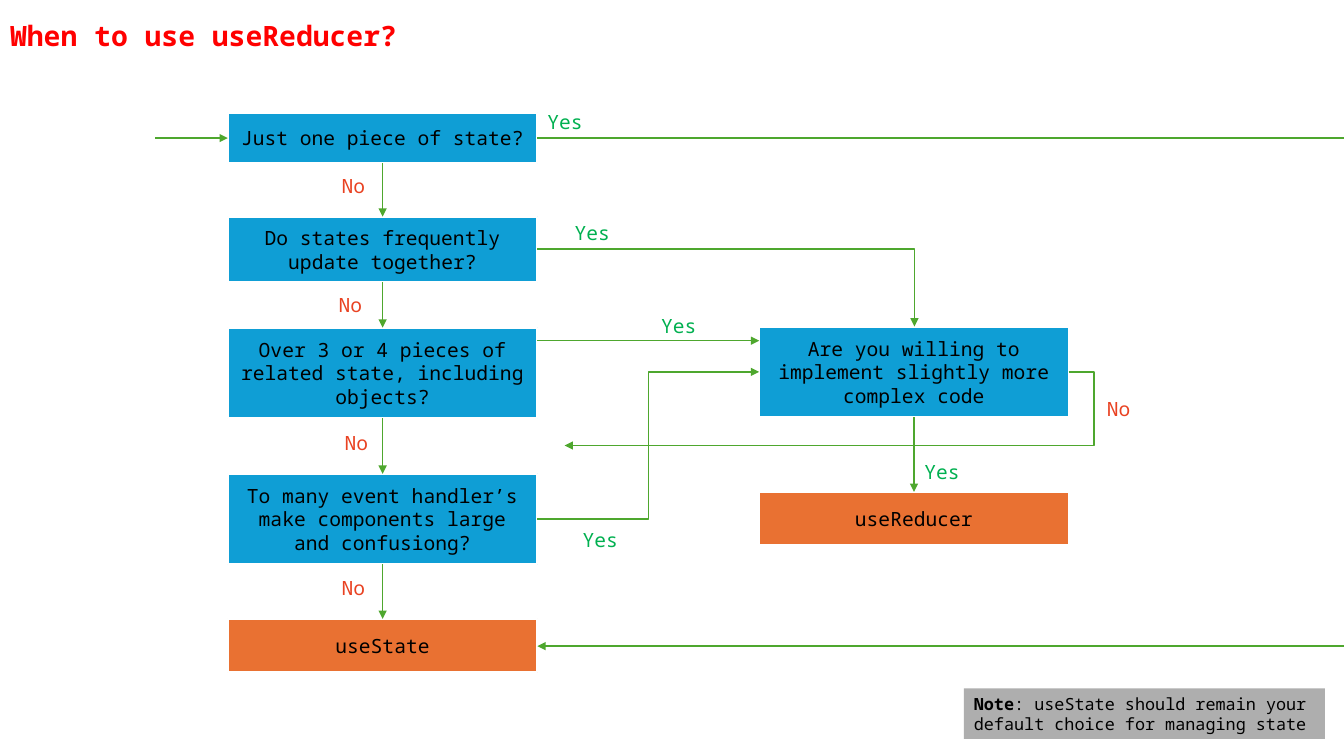
from dataclasses import dataclass

from lxml.etree import SubElement
from pptx import Presentation
from pptx.dml.color import RGBColor
from pptx.enum.shapes import MSO_CONNECTOR, MSO_SHAPE
from pptx.enum.text import MSO_ANCHOR, MSO_AUTO_SIZE, PP_ALIGN
from pptx.oxml.ns import qn
from pptx.util import Inches, Pt


@dataclass(frozen=True)
class Theme:
    font: str = "Noto Sans Mono"
    title_size: int = 20
    body_size: int = 14
    note_size: int = 12
    title: str = "FF0000"
    text: str = "000000"
    question: str = "0F9ED5"
    answer: str = "E97132"
    border: str = "FFFFFF"
    arrow: str = "4EA72E"
    yes: str = "00B050"
    no: str = "E94222"
    note: str = "AEAEAE"


def apply(target, values):
    for name, value in values.items():
        setattr(target, name, value)


class FlowPage:
    def __init__(self, deck, theme):
        self.theme = theme
        self.page = deck.slides.add_slide(deck.slide_layouts[5])

    def fill_text(self, box, spans, size, color, align=PP_ALIGN.LEFT, **frame_format):
        frame = box.text_frame
        apply(frame, {"word_wrap": True, "vertical_anchor": MSO_ANCHOR.MIDDLE, **frame_format})
        para = frame.paragraphs[0]
        para.alignment = align
        for text, bold in spans:
            span = para.add_run()
            span.text = text
            apply(span.font, {"name": self.theme.font, "size": Pt(size), "bold": bold})
            span.font.color.rgb = RGBColor.from_string(color)
        return para

    def title(self, text, left, top, width, height):
        box = self.page.shapes.title
        apply(box, {"left": Inches(left), "top": Inches(top),
                    "width": Inches(width), "height": Inches(height)})
        para = self.fill_text(box, [(text, True)], self.theme.title_size, self.theme.title,
                              auto_size=MSO_AUTO_SIZE.NONE)
        para.line_spacing = 0.9

    def rectangle(self, left, top, width, height, fill):
        box = self.page.shapes.add_shape(
            MSO_SHAPE.RECTANGLE, Inches(left), Inches(top), Inches(width), Inches(height))
        box.shadow.inherit = False
        box.fill.solid()
        box.fill.fore_color.rgb = RGBColor.from_string(fill)
        return box

    def step(self, text, left, top, height, fill):
        box = self.rectangle(left, top, 3.07, height, fill)
        box.line.color.rgb = RGBColor.from_string(self.theme.border)
        box.line.width = Pt(1.5)
        self.fill_text(box, [(text, False)], self.theme.body_size, self.theme.text,
                       PP_ALIGN.CENTER)
        return box

    def note(self, spans, left, top, width, height):
        box = self.rectangle(left, top, width, height, self.theme.note)
        box.line.fill.background()
        self.fill_text(box, spans, self.theme.note_size, self.theme.text,
                       auto_size=MSO_AUTO_SIZE.SHAPE_TO_FIT_TEXT)

    def label(self, text, color, width, left, top):
        box = self.page.shapes.add_textbox(
            Inches(left), Inches(top), Inches(width), Inches(0.34))
        self.fill_text(box, [(text, False)], self.theme.body_size, color, word_wrap=False,
                       auto_size=MSO_AUTO_SIZE.SHAPE_TO_FIT_TEXT)

    def line(self, start, end, kind=MSO_CONNECTOR.STRAIGHT, head=True):
        points = [Inches(value) for value in (*start, *end)]
        connector = self.page.shapes.add_connector(kind, *points)
        connector.line.color.rgb = RGBColor.from_string(self.theme.arrow)
        connector.line.width = Pt(1)
        properties = connector._element.spPr
        if head:
            SubElement(properties.find(qn("a:ln")), qn("a:tailEnd"), type="triangle")
        SubElement(properties, qn("a:effectLst"))
        return connector

    def down(self, upper, lower):
        connector = self.line((0, 0), (1, 1))
        connector.begin_connect(upper, 2)
        connector.end_connect(lower, 0)

    def elbow(self, start, end, preset="bentConnector3", bend=None):
        connector = self.line(start, end, MSO_CONNECTOR.ELBOW)
        geometry = connector._element.spPr.find(qn("a:prstGeom"))
        geometry.set("prst", preset)
        if bend is not None:
            guides = geometry.find(qn("a:avLst"))
            SubElement(guides, qn("a:gd"), name="adj1", fmla=f"val {round(bend * 100000)}")


def main():
    deck = Presentation()
    apply(deck, {"slide_width": Inches(13.33), "slide_height": Inches(7.5)})
    theme = Theme()
    flow = FlowPage(deck, theme)
    flow.title("When to use useReducer?", 0, 0.15, 4.2, 0.44)

    main_left, side_left = 2.26, 7.53
    main_right, side_right = main_left + 3.07, side_left + 3.07
    main_steps = [flow.step(text, main_left, top, height, fill) for text, top, height, fill in (
        ("Just one piece of state?", 1.12, 0.5, theme.question),
        ("Do states frequently update together?", 2.15, 0.65, theme.question),
        ("Over 3 or 4 pieces of related state, including objects?", 3.25, 0.9, theme.question),
        ("To many event handler’s make components large and confusiong?", 4.7, 0.9,
         theme.question),
        ("useState", 6.14, 0.53, theme.answer),
    )]
    side_steps = [flow.step(text, side_left, top, height, fill) for text, top, height, fill in (
        ("Are you willing to implement slightly more complex code", 3.24, 0.9, theme.question),
        ("useReducer", 4.88, 0.53, theme.answer),
    )]
    for steps in (main_steps, side_steps):
        for upper, lower in zip(steps, steps[1:]):
            flow.down(upper, lower)

    flow.line((1.54, 1.37), (main_left, 1.37))
    flow.line((main_right, 1.37), (13.33, 1.37), head=False)
    flow.line((13.33, 6.41), (main_right, 6.41))
    flow.line((main_right, 3.38), (side_left, 3.38))
    flow.elbow((main_right, 5.15), (side_left, 3.69))
    flow.elbow((main_right, 2.47), (9.07, 3.24), preset="bentConnector2")
    flow.elbow((side_right, 3.69), (5.6, 4.42), bend=-0.05)

    for text, color, width, places in (
        ("No", theme.no, 0.47,
         ((3.29, 1.67), (3.26, 2.85), (3.32, 4.22), (3.29, 5.66), (10.88, 3.88))),
        ("Yes", theme.yes, 0.56,
         ((5.33, 1.04), (5.6, 2.14), (6.46, 3.06), (9.07, 4.51), (5.68, 5.18))),
    ):
        for left, top in places:
            flow.label(text, color, width, left, top)

    flow.note([("Note", True),
               (": useState should remain your default choice for managing state", False)],
              9.56, 6.83, 3.58, 0.5)
    deck.save("out.pptx")


if __name__ == "__main__":
    main()
